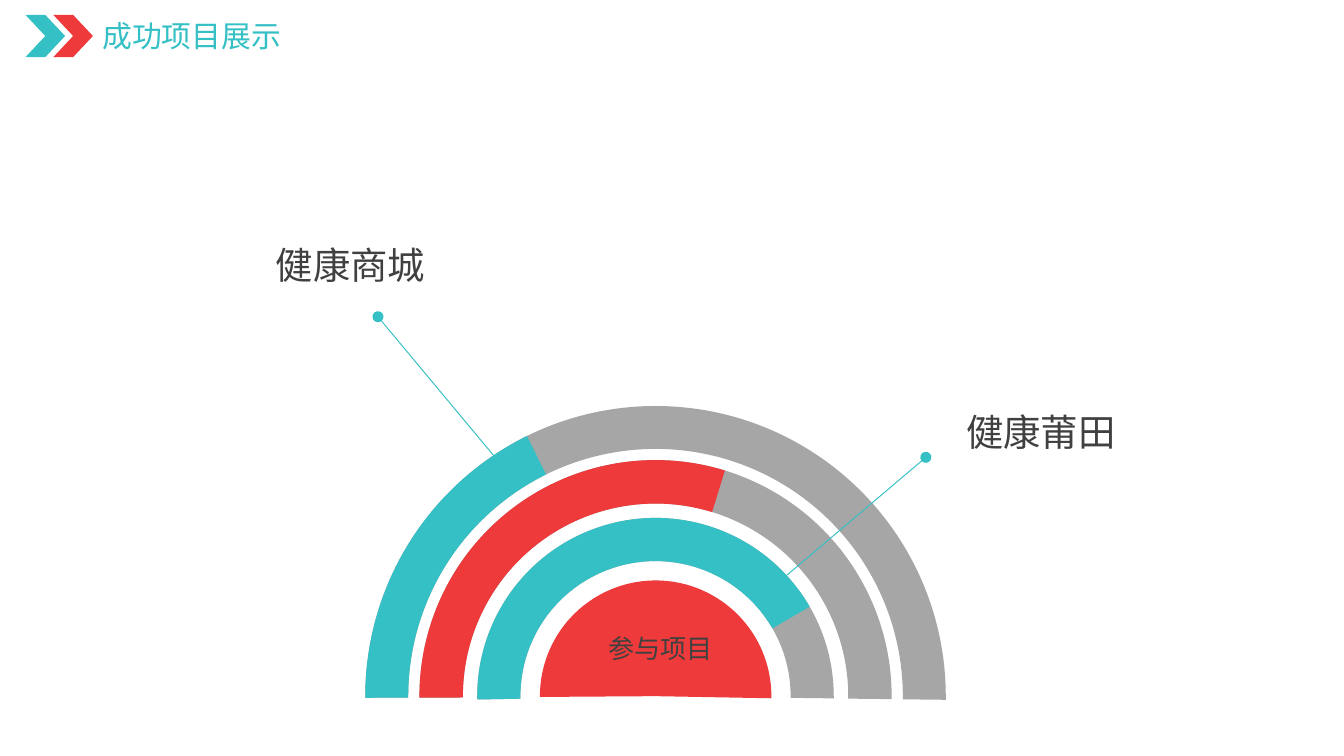
from pptx import Presentation
from pptx.dml.color import RGBColor
from pptx.enum.shapes import MSO_CONNECTOR as LINE, MSO_SHAPE as SHAPE
from pptx.enum.text import MSO_ANCHOR as ANCHOR, MSO_AUTO_SIZE as FIT, PP_ALIGN as ALIGN
from pptx.oxml.ns import qn
from pptx.util import Pt
from lxml.etree import SubElement

TEAL = RGBColor(0x34, 0xC0, 0xC4)
RED = RGBColor(0xEE, 0x3A, 0x3A)
GREY = RGBColor(0xA6, 0xA6, 0xA6)
DARK = RGBColor(0x40, 0x40, 0x40)
FONT = "Noto Sans CJK SC"


def write(box, text, size, color=DARK, align=ALIGN.LEFT, wrap=True, inset=(7.2, 3.6)):
    frame = box.text_frame
    frame.auto_size = FIT.NONE
    frame.word_wrap = wrap
    frame.vertical_anchor = ANCHOR.TOP
    frame.margin_left = frame.margin_right = Pt(inset[0])
    frame.margin_top = frame.margin_bottom = Pt(inset[1])
    para = frame.paragraphs[0]
    para.alignment = align
    run = para.add_run()
    run.text = text
    run.font.size = Pt(size)
    run.font.name = FONT
    run.font.color.rgb = color
    SubElement(run.font._element, qn("a:ea"), typeface=FONT)


def draw(kind, left, top, width, height, color, adjust=()):
    shape = slide.shapes.add_shape(kind, Pt(left), Pt(top), Pt(width), Pt(height))
    shape.shadow.inherit = False
    shape.fill.solid()
    shape.fill.fore_color.rgb = color
    shape.line.fill.background()
    for i, value in enumerate(adjust):
        shape.adjustments[i] = value
    return shape


deck = Presentation()
deck.slide_width, deck.slide_height = Pt(720), Pt(405)
slide = deck.slides.add_slide(deck.slide_layouts[5])

# Heading
title = slide.shapes.title
title.left, title.top, title.width, title.height = Pt(49), Pt(6.5), Pt(108), Pt(25)
write(title, "成功项目展示", 16, TEAL, wrap=False, inset=(5.8, 2.9))
for left, color in (13.7, TEAL), (28.6, RED):
    draw(SHAPE.CHEVRON, left, 8, 21.2, 22.6, color)

# Half rings: a grey track under a coloured share, angles in degrees
MID_X, MID_Y = 351.2, 373
TRACK = 179.29
rings = [
    (311, 296.29, 0.31, 0.074, TEAL),
    (253, 252.93, 0.37, 0.092, RED),
    (191, 210.13, 1.07, 0.121, TEAL),
]
for size, share, end, thick, color in rings:
    for start, fill in (TRACK, GREY), (share, color):
        arc = draw(SHAPE.BLOCK_ARC, MID_X - size / 2, MID_Y - size / 2, size, size,
                   fill, (start * 0.6, end * 0.6, thick))
        arc._element.spPr.find(qn("a:xfrm")).set("flipH", "1")

CORE = 124
core = draw(SHAPE.PIE, MID_X - CORE / 2, MID_Y - CORE / 2, CORE, CORE, RED,
            (89.6 * 0.6, 271.05 * 0.6))
core.rotation = 90

# Leader lines with round ends
for ends in (202.5, 169.7, 271.5, 252.5), (496, 245, 409.7, 318.2):
    lead = slide.shapes.add_connector(LINE.STRAIGHT, *[Pt(n) for n in ends])
    lead.line.color.rgb = TEAL
    lead.line.width = Pt(0.5)
    for tag in "a:headEnd", "a:tailEnd":
        SubElement(lead.line._get_or_add_ln(), qn(tag), type="oval")
    SubElement(lead._element.spPr, qn("a:effectLst"))

# Labels
labels = [
    ("参与项目", 278, 334, 152, 26.6, dict(size=14, align=ALIGN.CENTER, inset=(9.4, 5))),
    ("健康商城", 140.6, 126, 173.5, 31.7, dict(size=20)),
    ("健康莆田", 510.5, 215.5, 94.4, 31.7, dict(size=20, wrap=False)),
]
for text, left, top, width, height, style in labels:
    box = slide.shapes.add_textbox(Pt(left), Pt(top), Pt(width), Pt(height))
    write(box, text, **style)

deck.save("out.pptx")
